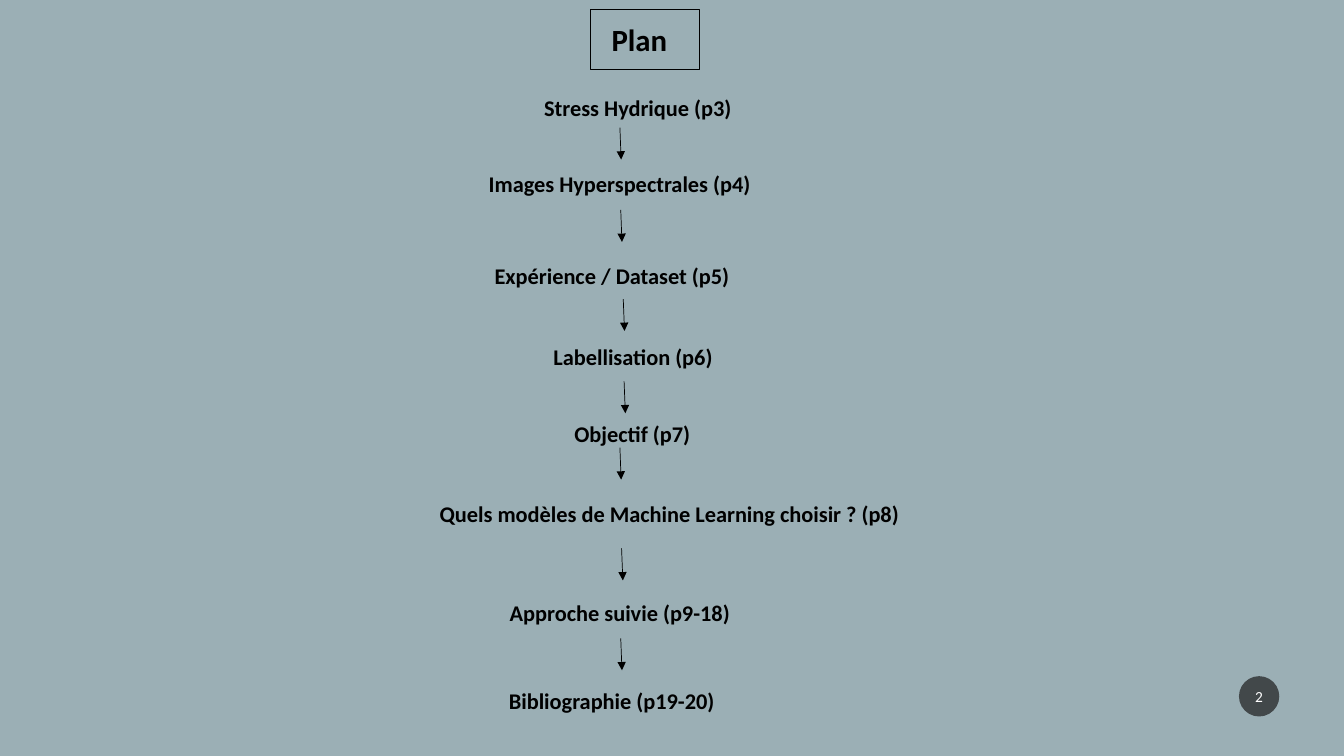
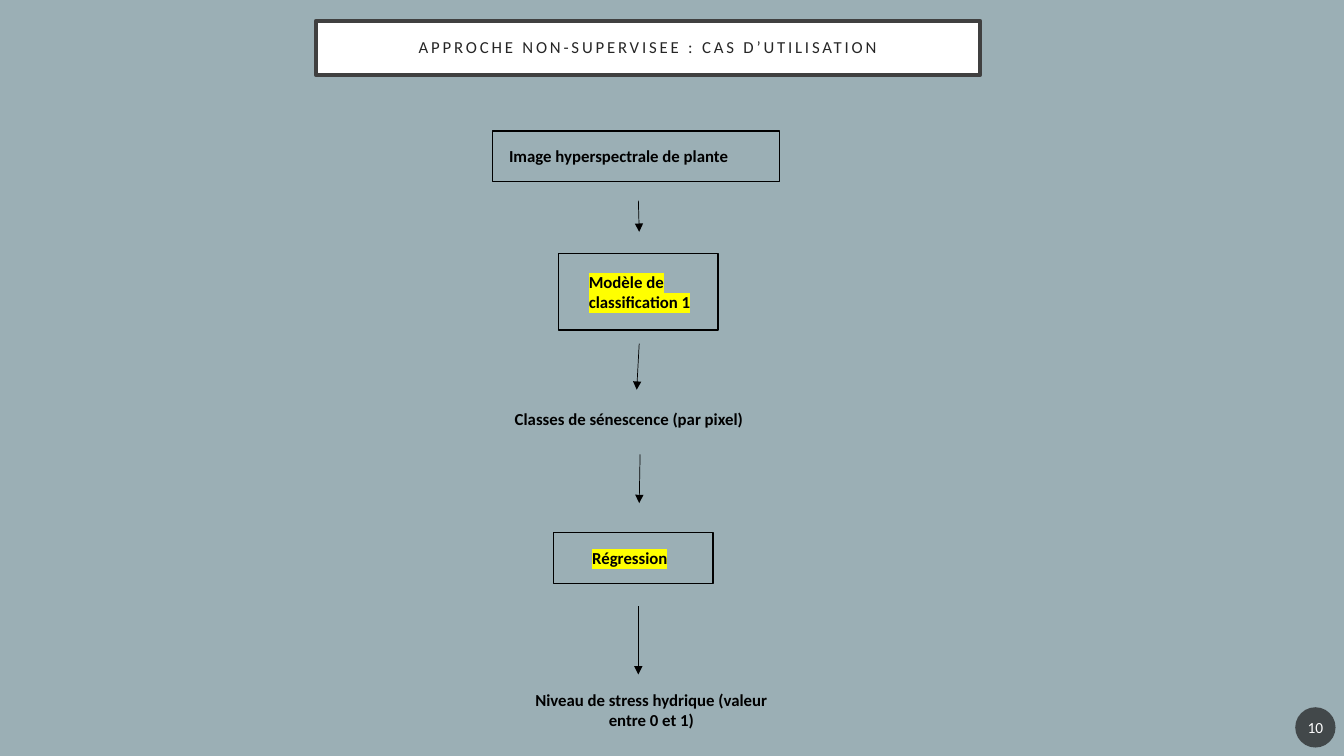
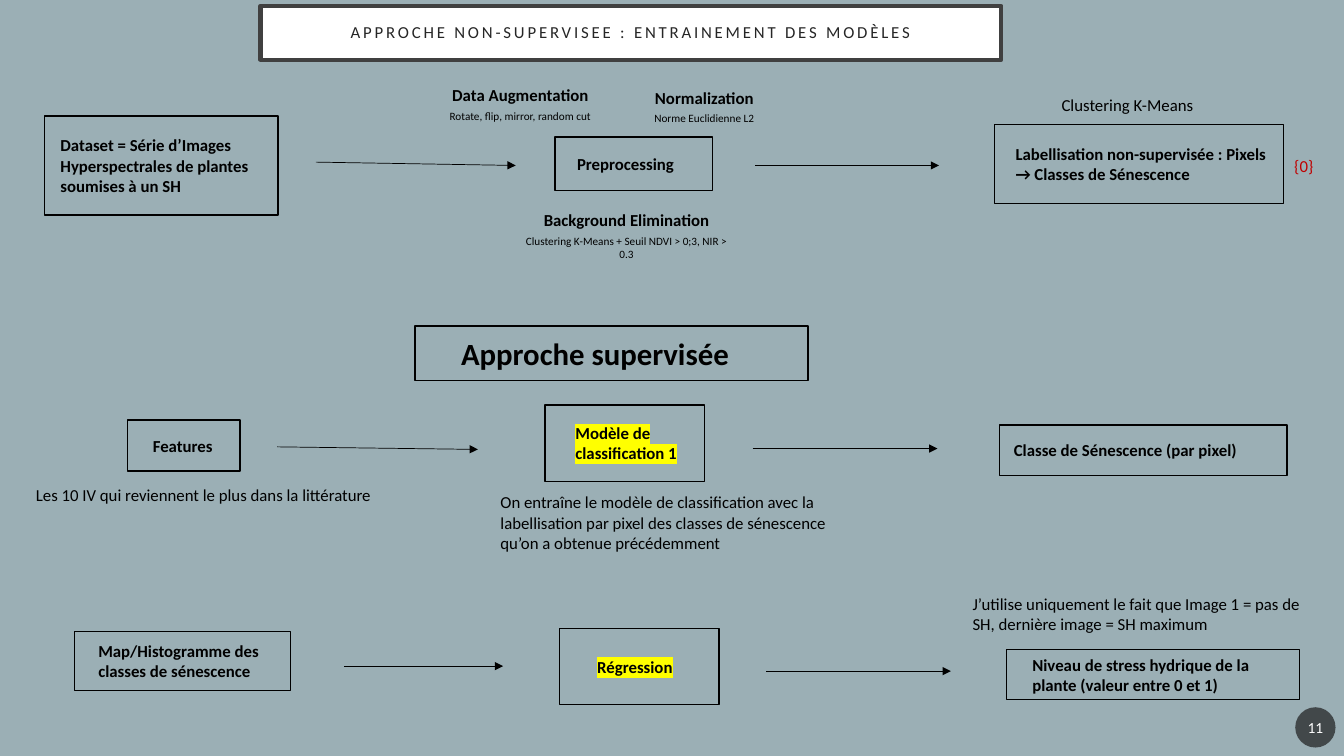
from dataclasses import dataclass

from lxml import etree
from pptx import Presentation
from pptx.dml.color import RGBColor
from pptx.enum.shapes import MSO_CONNECTOR, MSO_SHAPE
from pptx.enum.text import MSO_ANCHOR, MSO_AUTO_SIZE, PP_ALIGN
from pptx.oxml.ns import qn
from pptx.util import Emu, Pt

CELL = 76200
COLS, ROWS = 160, 90
TITLE_ONLY = 5
RECT, OVAL = MSO_SHAPE.RECTANGLE, MSO_SHAPE.OVAL
STRAIGHT = MSO_CONNECTOR.STRAIGHT
LEFT, CENTER = PP_ALIGN.LEFT, PP_ALIGN.CENTER
TOP, MIDDLE = MSO_ANCHOR.TOP, MSO_ANCHOR.MIDDLE
NO_AUTOFIT = MSO_AUTO_SIZE.NONE

FONT = "Calibri"
BACKGROUND, BLACK, WHITE = "9BAFB5", "000000", "FFFFFF"
TITLE_TEXT, TITLE_LINE = "262626", "404040"
BADGE, HIGHLIGHT, RED = "1D1D1D", "FFFF00", "C00000"
BADGE_SIZE = 4.8
BADGE_CORNER = (154.2, 84.2)


@dataclass
class Label:
    text: str
    x: float
    y: float
    w: float
    h: float
    size: float = 12
    bold: bool = True
    color: str = BLACK
    align: PP_ALIGN = LEFT
    detail: str = ""


@dataclass
class Box:
    text: str
    x: float
    y: float
    w: float
    h: float
    inset: float
    size: float = 12
    highlight: bool = False


@dataclass
class Arrow:
    x1: float
    y1: float
    x2: float
    y2: float


@dataclass
class Title:
    text: str
    x: float
    w: float
    y: float


def cells(n: float) -> Emu:
    return Emu(round(n * CELL))


def rgb(color: str) -> RGBColor:
    return RGBColor.from_string(color)


def format_runs(p, size: float, color: str, bold: bool = False) -> None:
    for r in p.runs:
        r.font.name = FONT
        r.font.size = Pt(size)
        r.font.bold = bold
        r.font.color.rgb = rgb(color)


def highlight_runs(p) -> None:
    for r in p.runs:
        fill = r.font._element.find(qn("a:solidFill"))
        mark = etree.Element(qn("a:highlight"))
        etree.SubElement(mark, qn("a:srgbClr")).set("val", HIGHLIGHT)
        fill.addnext(mark)


def set_frame(tf, left: float, right: float, anchor: MSO_ANCHOR) -> None:
    tf.word_wrap = True
    tf.auto_size = NO_AUTOFIT
    tf.vertical_anchor = anchor
    tf.margin_left, tf.margin_right = cells(left), cells(right)
    tf.margin_top = tf.margin_bottom = cells(0.6)


def place(sp, x: float, y: float, w: float, h: float) -> None:
    sp.left, sp.top, sp.width, sp.height = map(cells, (x, y, w, h))


def outline(sp, color: str, width: float) -> None:
    sp.line.color.rgb = rgb(color)
    sp.line.width = Pt(width)


def add_label(slide, label: Label) -> None:
    area = map(cells, (label.x, label.y, label.w, label.h))
    tf = slide.shapes.add_textbox(*area).text_frame
    set_frame(tf, 1.2, 1.2, TOP)
    p = tf.paragraphs[0]
    p.text = label.text
    p.alignment = label.align
    format_runs(p, label.size, label.color, label.bold)
    if label.detail:
        p.space_after = Pt(3)
        p = tf.add_paragraph()
        p.text = label.detail
        p.alignment = label.align
        format_runs(p, 8, label.color)


def add_box(slide, box: Box) -> None:
    sp = slide.shapes.add_shape(RECT, *map(cells, (box.x, box.y, box.w, box.h)))
    sp.shadow.inherit = False
    sp.fill.background()
    outline(sp, BLACK, 1)
    tf = sp.text_frame
    set_frame(tf, box.inset, 1.2, MIDDLE)
    p = tf.paragraphs[0]
    p.text = box.text
    p.alignment = LEFT
    format_runs(p, box.size, BLACK, True)
    if box.highlight:
        highlight_runs(p)


def add_arrow(slide, arrow: Arrow) -> None:
    ends = map(cells, (arrow.x1, arrow.y1, arrow.x2, arrow.y2))
    line = slide.shapes.add_connector(STRAIGHT, *ends)
    outline(line, BLACK, 0.5)
    etree.SubElement(line.line._get_or_add_ln(), qn("a:tailEnd")).set("type", "triangle")
    etree.SubElement(line._element.spPr, qn("a:effectLst"))


def add_badge(slide, number: int, x: float, y: float) -> None:
    sp = slide.shapes.add_shape(OVAL, *map(cells, (x, y, BADGE_SIZE, BADGE_SIZE)))
    sp.shadow.inherit = False
    sp.fill.solid()
    sp.fill.fore_color.rgb = rgb(BADGE)
    clr = sp._element.spPr.find(qn("a:solidFill"))[0]
    etree.SubElement(clr, qn("a:alpha")).set("val", "70000")
    sp.line.fill.background()
    set_frame(sp.text_frame, 0.2, 0.2, MIDDLE)
    p = sp.text_frame.paragraphs[0]
    p.text = str(number)
    p.alignment = CENTER
    format_runs(p, 11, WHITE)


def set_banner(slide, title: Title) -> None:
    sp = slide.shapes.title
    place(sp, title.x, title.y, title.w, 6.4)
    sp.fill.solid()
    sp.fill.fore_color.rgb = rgb(WHITE)
    outline(sp, TITLE_LINE, 3)
    set_frame(sp.text_frame, 3.6, 3.6, MIDDLE)
    p = sp.text_frame.paragraphs[0]
    p.text = title.text
    p.alignment = CENTER
    p.line_spacing = 0.9
    format_runs(p, 12, TITLE_TEXT)
    for r in p.runs:
        r.font._element.set("spc", "200")


def set_plan_title(slide) -> None:
    sp = slide.shapes.title
    place(sp, 70.3, 1.1, 13, 7.2)
    outline(sp, BLACK, 1)
    set_frame(sp.text_frame, 2.5, 1.2, MIDDLE)
    p = sp.text_frame.paragraphs[0]
    p.text = "Plan"
    p.alignment = LEFT
    format_runs(p, 22, BLACK, True)


def draw(slide, items: list) -> None:
    painters = {Label: add_label, Box: add_box, Arrow: add_arrow}
    for item in items:
        painters[type(item)](slide, item)


def new_slide(prs):
    return prs.slides.add_slide(prs.slide_layouts[TITLE_ONLY])


def build_plan(prs) -> None:
    slide = new_slide(prs)
    set_plan_title(slide)
    steps = [
        ("Stress Hydrique (p3)", 63.6, 10.6, 30.6, LEFT),
        ("Images Hyperspectrales (p4)", 57, 19.7, 40.3, LEFT),
        ("Expérience / Dataset (p5)", 57.7, 30.6, 34.2, LEFT),
        ("Labellisation (p6)", 64.7, 40.2, 27.2, LEFT),
        ("Objectif (p7)", 67.2, 49.4, 21.8, LEFT),
        ("Quels modèles de Machine Learning choisir ? (p8)", 45.8, 58.9, 67.8, CENTER),
        ("Approche suivie (p9-18)", 59.5, 70.7, 38.4, LEFT),
        ("Bibliographie (p19-20)", 59.4, 81.2, 38.4, LEFT),
    ]
    starts = [(73.8, 15.2), (73.9, 25), (74.2, 35.6), (74.3, 45.4),
              (73.8, 53.3), (74, 65.3), (73.9, 76)]
    draw(slide, [Label(text, x, y, w, 4.4, size=16, align=align)
                 for text, x, y, w, align in steps])
    draw(slide, [Arrow(x, y, x + 0.15, y + 3.8) for x, y in starts])
    add_badge(slide, 2, 147.5, 80.5)


def build_flow(prs, number: int, title: Title, items: list) -> None:
    slide = new_slide(prs)
    set_banner(slide, title)
    draw(slide, items)
    add_badge(slide, number, *BADGE_CORNER)


USE_CASE = [
    Box("Image hyperspectrale de plante", 58.6, 15.6, 34.2, 6, 2),
    Arrow(76, 23.9, 76.1, 27.6),
    Box("Modèle de classification 1", 66.5, 30.2, 19, 9.1, 3.6, highlight=True),
    Arrow(76.1, 40.9, 75.8, 46.4),
    Label("Classes de sénescence (par pixel)", 60.1, 48.1, 35.2, 3.6),
    Arrow(76.2, 54.1, 76.1, 59.9),
    Box("Régression", 65.9, 63.4, 19, 6.1, 4.6, highlight=True),
    Arrow(76, 72.2, 76, 80.3),
    Label("Niveau de stress hydrique (valeur entre 0 et 1)",
          61.1, 81.5, 32.9, 6, align=CENTER),
]

TRAINING = [
    Box("Dataset = Série d’Images Hyperspectrales de plantes soumises à un SH",
        5.3, 13.8, 27.8, 11.8, 1.9),
    Arrow(37.6, 19.3, 61.4, 19.7),
    Label("Data Augmentation", 45.7, 9.5, 32.5, 8.2, align=CENTER,
          detail="Rotate, flip, mirror, random cut"),
    Label("Normalization", 67.6, 9.8, 32.5, 8.2, align=CENTER,
          detail="Norme Euclidienne L2"),
    Box("Preprocessing", 66.1, 16.3, 18.7, 6.4, 2.6),
    Label("Background Elimination", 61.4, 24.4, 26.4, 9.8, align=CENTER,
          detail="Clustering K-Means + Seuil NDVI > 0;3, NIR > 0.3"),
    Arrow(89.9, 19.7, 111.8, 19.7),
    Label("Clustering K-Means", 125.2, 10.7, 25.2, 3.6, bold=False),
    Box("Labellisation non-supervisée : Pixels → Classes de Sénescence",
        118.4, 14.8, 34.4, 9.4, 2.5),
    Label("{0}", 152.9, 17.9, 7, 3.6, bold=False, color=RED),
    Box("Approche supervisée", 49.4, 38.8, 46.8, 6.5, 5.5, size=22),
    Box("Features", 15.2, 50, 13.4, 6.1, 3),
    Label("Les 10 IV qui reviennent le plus dans la littérature",
          3.1, 57.1, 43.7, 3.6, bold=False),
    Arrow(33, 53.2, 56.9, 53.5),
    Box("Modèle de classification 1", 64.9, 48.2, 19, 9.1, 3.6, highlight=True),
    Label("On entraîne le modèle de classification avec la labellisation par pixel "
          "des classes de sénescence qu’on a obtenue précédemment",
          58.4, 58, 43.7, 8.5, bold=False),
    Arrow(89.6, 53.4, 111.6, 53.4),
    Box("Classe de Sénescence (par pixel)", 119, 50.6, 34.2, 6, 1.7),
    Box("Map/Histogramme des classes de sénescence", 8.9, 75.2, 25.7, 7, 2.8),
    Arrow(41, 79.3, 59.9, 79.3),
    Box("Régression", 66.6, 74.8, 19, 9.1, 4.5, highlight=True),
    Arrow(91.2, 79.9, 113.2, 79.9),
    Label("J’utilise uniquement le fait que Image 1 = pas de SH, "
          "dernière image = SH maximum", 114.6, 70.1, 43.7, 6, bold=False),
    Box("Niveau de stress hydrique de la plante (valeur entre 0 et 1)",
        119.8, 77.3, 34.9, 6, 3.1),
]


def main() -> None:
    prs = Presentation()
    prs.slide_width, prs.slide_height = cells(COLS), cells(ROWS)
    fill = prs.slide_master.background.fill
    fill.solid()
    fill.fore_color.rgb = rgb(BACKGROUND)
    build_plan(prs)
    build_flow(prs, 10, Title("APPROCHE NON-SUPERVISEE : CAS D’UTILISATION",
                              37.6, 79.1, 2.5), USE_CASE)
    build_flow(prs, 11, Title("APPROCHE NON-SUPERVISEE : ENTRAINEMENT DES MODÈLES",
                              31, 88.2, 0.7), TRAINING)
    prs.save("out.pptx")


if __name__ == "__main__":
    main()
